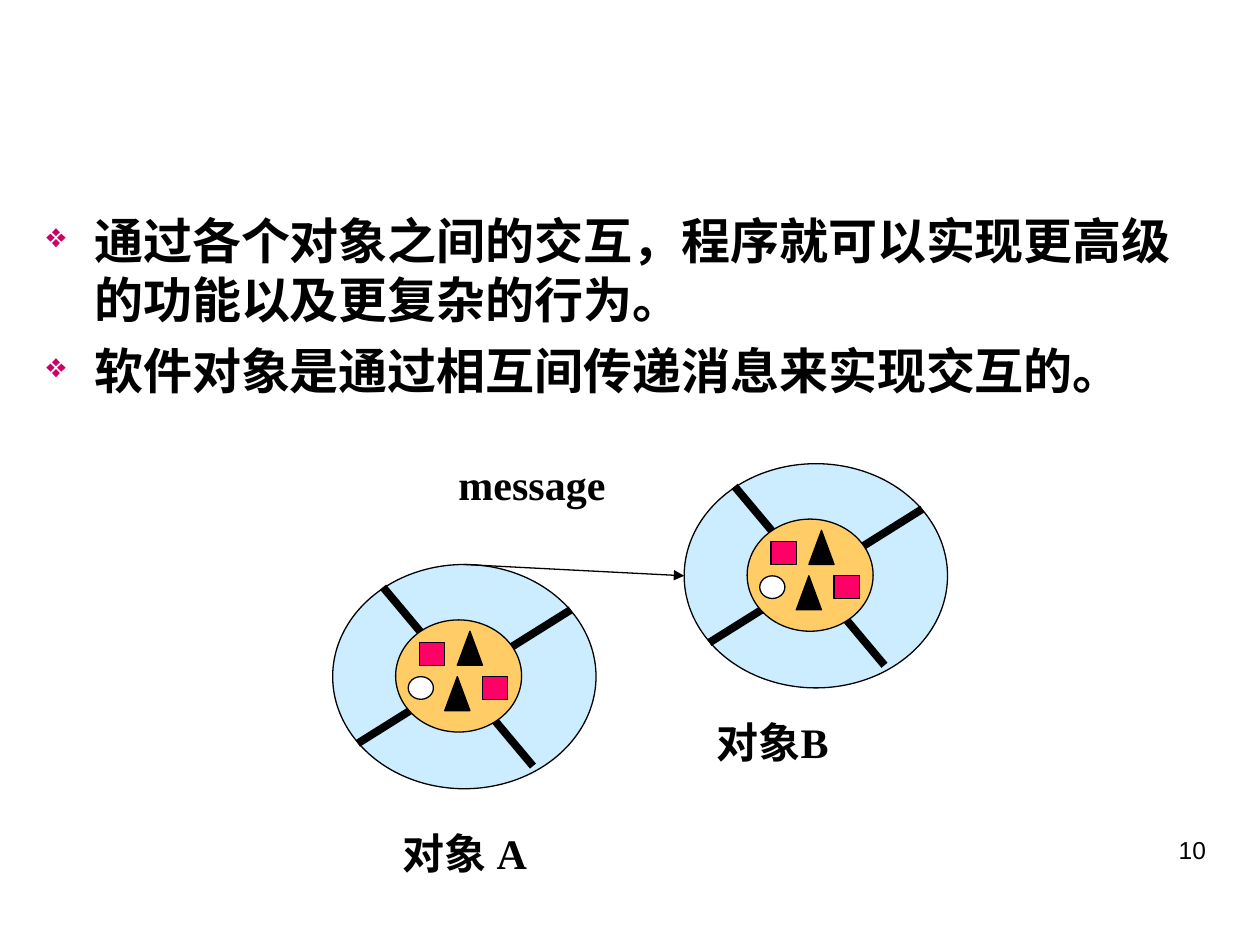
"""Build a slide on two software objects that exchange a message."""
from lxml import etree
from pptx import Presentation
from pptx import util as u
from pptx.dml.color import RGBColor
from pptx.enum import shapes, text
from pptx.oxml import ns

Inches = u.Inches
Kind = shapes.MSO_SHAPE
Align = text.PP_ALIGN


def tint(code):
    return RGBColor.from_string(code)


def write(home, spot, *words, size=24, font="Times New Roman", bold=True,
          align=Align.LEFT, wrap=False):
    frame = home.add_textbox(*map(Inches, spot)).text_frame
    frame.word_wrap = wrap
    if not wrap:
        frame.auto_size = text.MSO_AUTO_SIZE.SHAPE_TO_FIT_TEXT
    for i, line in enumerate(words):
        para = frame.paragraphs[0] if i == 0 else frame.add_paragraph()
        para.alignment = align
        run = para.add_run()
        run.text = line
        run.font.size = u.Pt(size)
        run.font.name = font
        run.font.bold = bold
        run.font.color.rgb = tint("000000")
    return frame


deck = Presentation()
deck.slide_width, deck.slide_height = Inches(10), Inches(7.5)
slide = deck.slides.add_slide(deck.slide_layouts[6])

write(slide.shapes, (7.17, 6.58, 2.5, 0.52), "10", size=14, font="Arial",
      bold=False, align=Align.RIGHT, wrap=True)

body = write(
    slide.shapes, (0.27, 1.62, 9.33, 2.44),
    "通过各个对象之间的交互，程序就可以实现更高级的功能以及更复杂的行为。",
    "软件对象是通过相互间传递消息来实现交互的。", size=28, wrap=True)
for para in body.paragraphs:
    props = para._p.get_or_add_pPr()
    props.set("marL", str(Inches(0.38)))
    props.set("indent", str(Inches(-0.38)))
    color = etree.SubElement(props, ns.qn("a:buClr"))
    etree.SubElement(color, ns.qn("a:srgbClr"), val="CC0066")
    etree.SubElement(props, ns.qn("a:buSzPct"), val="70000")
    etree.SubElement(props, ns.qn("a:buChar"), char="❖")
body.paragraphs[1].space_before = u.Pt(7)
body.paragraphs[1].runs[0].font.name = "Arial"

shell = (Kind.OVAL, 0, 0, 2.09, 1.78, "CCECFF")
spokes = [(0.2, 1.42, 1.89, 0.36), (0.4, 0.18, 1.59, 1.6)]
core = [
    (Kind.OVAL, 0.5, 0.44, 1, 0.89, "FFCC66"),
    (Kind.RECTANGLE, 0.69, 0.62, 0.2, 0.18, "FF0066"),
    (Kind.ISOSCELES_TRIANGLE, 0.89, 0.89, 0.2, 0.27, "000000"),
    (Kind.ISOSCELES_TRIANGLE, 0.99, 0.53, 0.2, 0.27, "000000"),
    (Kind.RECTANGLE, 1.19, 0.89, 0.2, 0.18, "FF0066"),
    (Kind.OVAL, 0.6, 0.89, 0.2, 0.18, "FFFFFF"),
]
objects = [
    (5.43, 3.68, "对象B", (5.59, 5.64, 1.17, 0.5)),
    (2.64, 4.48, "对象 A", (3.1, 6.52, 1.26, 0.5)),
]
lines = []
for left, top, name, spot in objects:
    group = slide.shapes.add_group_shape().shapes
    for kind, x, y, wide, high, fill in [shell, *core]:
        part = group.add_shape(kind, Inches(left + x), Inches(top + y),
                               Inches(wide), Inches(high))
        part.shadow.inherit = False
        part.fill.solid()
        part.fill.fore_color.rgb = tint(fill)
        part.line.color.rgb = tint("000000")
        part.line.width = u.Pt(0.75)
        if fill == shell[-1]:
            for x1, y1, x2, y2 in spokes:
                spoke = group.add_connector(
                    shapes.MSO_CONNECTOR.STRAIGHT,
                    Inches(left + x1), Inches(top + y1),
                    Inches(left + x2), Inches(top + y2))
                lines.append((spoke, 4.5))
    write(group, spot, name)

write(slide.shapes, (3.54, 3.59, 1.45, 0.5), "message", wrap=True)
arrow = slide.shapes.add_connector(
    shapes.MSO_CONNECTOR.STRAIGHT,
    Inches(3.68), Inches(4.48), Inches(5.43), Inches(4.57))
lines.append((arrow, 0.75))
for line, width in lines:
    line.line.color.rgb = tint("000000")
    line.line.width = u.Pt(width)
    etree.SubElement(line._element.spPr, ns.qn("a:effectLst"))
etree.SubElement(arrow.line._get_or_add_ln(), ns.qn("a:tailEnd"),
                 type="triangle")

deck.save("out.pptx")
